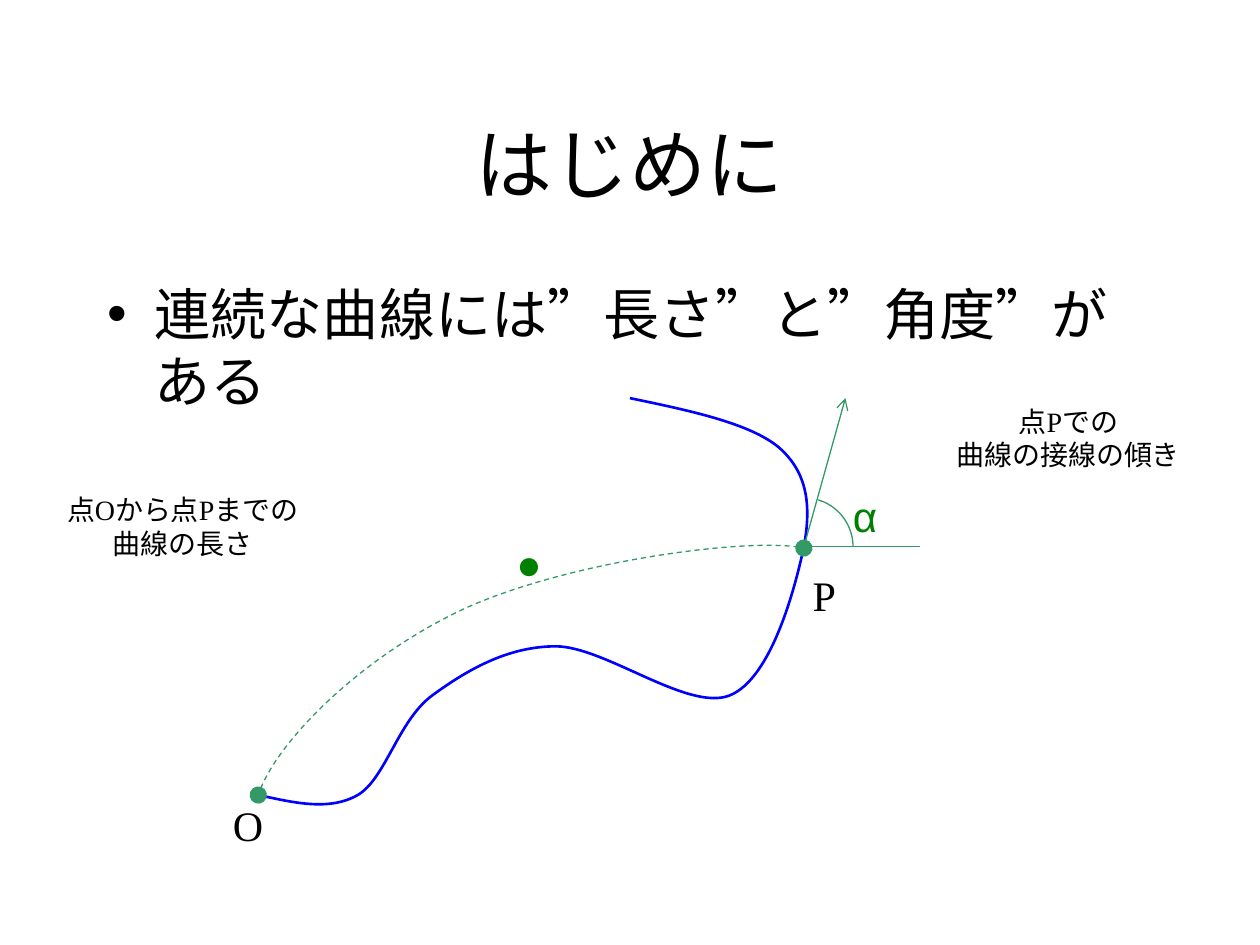
from pptx import Presentation
from pptx.dml.color import RGBColor
from pptx.enum import dml, shapes, text
from pptx.oxml import ns, xmlchemy as xml
from pptx.util import Inches, Pt

HUES = {"ink": "000000", "curve": "0000FF", "mark": "339966", "sign": "008000"}


def tint(name):
    return RGBColor.from_string(HUES[name])


def node(tag, **attrs):
    item = xml.OxmlElement(tag)
    for key, val in attrs.items():
        item.set(key, val)
    return item


def place(shape, box):
    shape.left, shape.top, shape.width, shape.height = map(Inches, box)


def write(para, words, size, face, hue="ink", align=None):
    para.alignment = align
    run = para.add_run()
    run.text = words
    run.font.size = Pt(size)
    run.font.name = face
    run.font.color.rgb = tint(hue)


def stroke(shape, hue, width):
    shape.line.color.rgb = tint(hue)
    shape.line.width = Pt(width)


def add_title(slide, words):
    title = slide.shapes.title
    place(title, (0.75, 0.67, 8.5, 1.25))
    title.text_frame.vertical_anchor = text.MSO_ANCHOR.MIDDLE
    write(title.text_frame.paragraphs[0], words, 44, "Times New Roman",
          align=text.PP_ALIGN.CENTER)


def add_body(slide, words):
    body = slide.placeholders[1]
    place(body, (0.75, 2.17, 8.5, 4.5))
    para = body.text_frame.paragraphs[0]
    props = para._p.get_or_add_pPr()
    props.set("marL", str(Inches(0.38)))
    props.set("indent", str(-Inches(0.38)))
    props.append(node("a:buChar", char="•"))
    para.space_before = Pt(0)
    write(para, words, 32, "TeX Gyre Schola")


def add_label(slide, words, box, face="Times New Roman", hue="ink"):
    label = slide.shapes.add_textbox(*map(Inches, box))
    label.text_frame.word_wrap = False
    label.text_frame.auto_size = text.MSO_AUTO_SIZE.SHAPE_TO_FIT_TEXT
    write(label.text_frame.paragraphs[0], words, 24, face, hue)


def add_note(slide, lines, left, top):
    note = slide.shapes.add_textbox(*map(Inches, (left, top, 2.36, 0.67)))
    frame = note.text_frame
    frame.word_wrap = True
    for num, words in enumerate(lines):
        para = frame.add_paragraph() if num else frame.paragraphs[0]
        write(para, words, 16, "Times New Roman", align=text.PP_ALIGN.CENTER)


def add_curve(slide, points, hue, width):
    spots = [(Inches(x), Inches(y)) for x, y in points]
    build = slide.shapes.build_freeform(*spots[0])
    build.add_line_segments(spots[1:], close=False)
    curve = build.convert_to_shape()
    steps = list(curve._element.iter(ns.qn("a:lnTo")))
    for start in range(0, len(steps), 3):
        bend = node("a:cubicBezTo")
        steps[start].addprevious(bend)
        for step in steps[start:start + 3]:
            bend.append(step[0])
            step.getparent().remove(step)
    curve.shadow.inherit = False
    curve.fill.background()
    stroke(curve, hue, width)
    return curve


def add_line(slide, start, end, arrow=False):
    line = slide.shapes.add_connector(
        shapes.MSO_CONNECTOR.STRAIGHT, *map(Inches, start + end))
    stroke(line, "mark", 0.75)
    line._element.spPr.append(node("a:effectLst"))
    if arrow:
        line.line._get_or_add_ln().append(node("a:tailEnd", type="arrow"))


def add_arc(slide, mid, side, angle):
    arc = slide.shapes.add_shape(
        shapes.MSO_SHAPE.ARC, Inches(mid[0] - side / 2),
        Inches(mid[1] - side / 2), Inches(side), Inches(side))
    arc.adjustments[0] = (360 - angle) * 0.6
    arc.adjustments[1] = 0
    arc.shadow.inherit = False
    arc.fill.background()
    stroke(arc, "mark", 0.75)


def main():
    deck = Presentation()
    deck.slide_width, deck.slide_height = Inches(10), Inches(7.5)
    slide = deck.slides.add_slide(deck.slide_layouts[1])
    add_title(slide, "はじめに")
    add_body(slide, "連続な曲線には”長さ”と”角度”がある")

    base, point = (2.05, 6.31), (6.38, 4.34)
    add_curve(slide, [
        base, (2.33, 6.37), (2.61, 6.44), (2.84, 6.31),
        (3.06, 6.18), (3.16, 5.72), (3.43, 5.52),
        (3.69, 5.33), (4.02, 5.13), (4.41, 5.13),
        (4.8, 5.13), (5.46, 5.65), (5.79, 5.52),
        (6.12, 5.39), (6.31, 4.67), point,
        (6.44, 4.01), (6.41, 3.75), (6.18, 3.55),
        (5.95, 3.36), (5.48, 3.26), (5, 3.16)], "curve", 1.5)
    add_line(slide, point, (6.71, 3.16), arrow=True)
    add_line(slide, point, (7.3, 4.34))
    add_arc(slide, point, 0.78, 73)
    chord = add_curve(slide, [
        base, (2.18, 5.9), (2.9, 5.19), (3.71, 4.82),
        (4.52, 4.46), (5.97, 4.26), (6.38, 4.35)], "mark", 0.75)
    chord.line.dash_style = dml.MSO_LINE.DASH
    for tag in ("a:headEnd", "a:tailEnd"):
        chord.line._get_or_add_ln().append(
            node(tag, type="oval", w="lg", len="lg"))

    add_label(slide, "α", (6.67, 3.84, 0.41, 0.5), "Arial", "sign")
    add_label(slide, "●", (4, 4.22, 0.38, 0.5), "Arial", "sign")
    add_label(slide, "O", (1.75, 6.3, 0.44, 0.5))
    add_label(slide, "P", (6.35, 4.47, 0.38, 0.5))
    add_note(slide, ["点Oから点Pまでの", "曲線の長さ"], 0.27, 3.86)
    add_note(slide, ["点Pでの", "曲線の接線の傾き"], 7.3, 3.16)
    deck.save("out.pptx")


if __name__ == "__main__":
    main()
